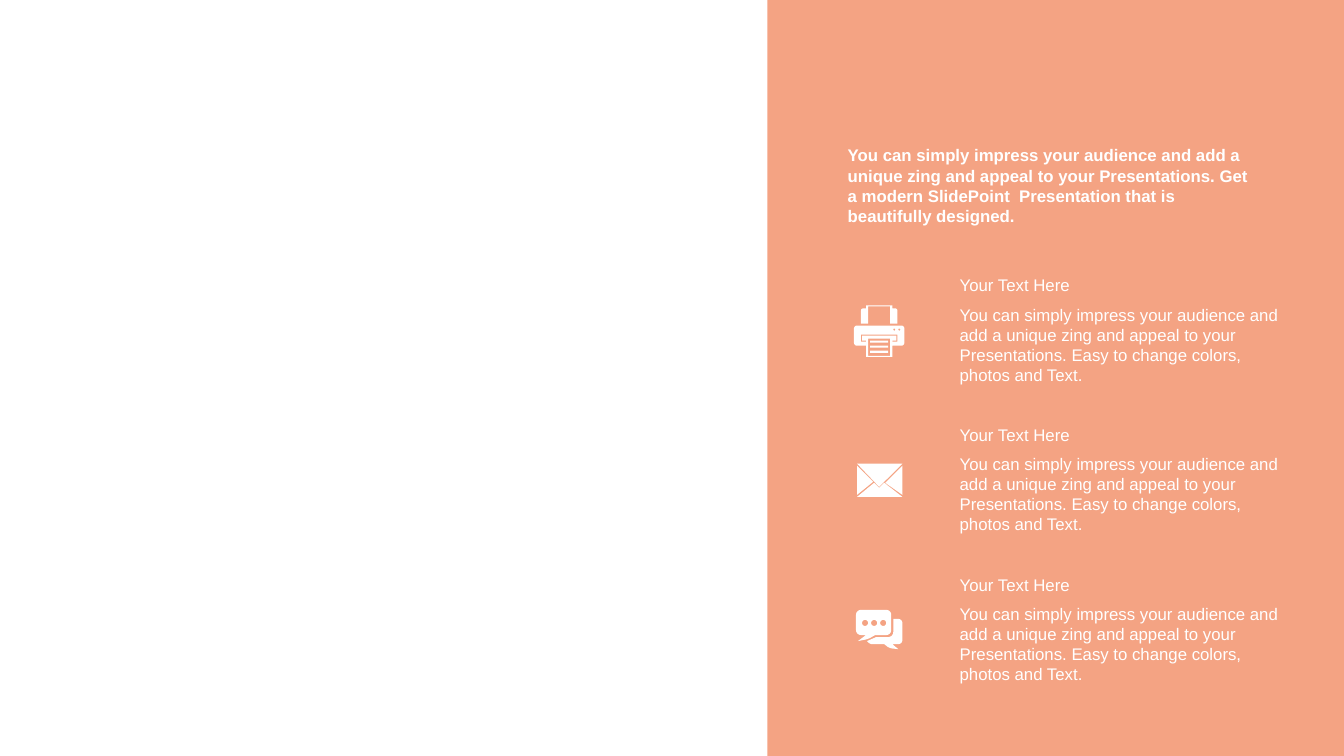
from dataclasses import dataclass
from math import hypot
from typing import NamedTuple

from lxml import etree
from pptx import Presentation
from pptx import util as u
from pptx.dml.color import RGBColor
from pptx.enum import shapes, text
from pptx.oxml import ns

CORAL = RGBColor(0xF0, 0x7C, 0x4F)
WHITE = RGBColor(0xFF, 0xFF, 0xFF)
PANEL_OPACITY = 70
CURVE_STEPS = 8
ARC_FACTOR = 0.55

INTRO = (
    "You can simply impress your audience and add a unique zing and appeal to your "
    "Presentations. Get a modern SlidePoint  Presentation that is beautifully designed."
)
HEADING = "Your Text Here"
BODY = (
    "You can simply impress your audience and add a unique zing and appeal to your "
    "Presentations. Easy to change colors, photos and Text."
)


class Point(NamedTuple):
    x: float
    y: float


class Corner(NamedTuple):
    x: float
    y: float
    radius: float = 0


Contour = list[Point]


@dataclass
class Section:
    top: float
    heading: str
    body: str
    icon: list[Contour]


def toward(start: Corner, end: Corner, distance: float) -> Point:
    share = distance / hypot(end.x - start.x, end.y - start.y)
    return Point(start.x + (end.x - start.x) * share, start.y + (end.y - start.y) * share)


def outline(*points: tuple[float, ...]) -> Contour:
    corners = [Corner(*point) for point in points]
    contour = []
    for index, corner in enumerate(corners):
        if not corner.radius:
            contour.append(Point(corner.x, corner.y))
            continue
        following = corners[(index + 1) % len(corners)]
        reach = corner.radius * (1 - ARC_FACTOR)
        controls = [
            toward(corner, corners[index - 1], corner.radius),
            toward(corner, corners[index - 1], reach),
            toward(corner, following, reach),
            toward(corner, following, corner.radius),
        ]
        for step in range(CURVE_STEPS + 1):
            t = step / CURVE_STEPS
            weights = ((1 - t) ** 3, 3 * t * (1 - t) ** 2, 3 * t**2 * (1 - t), t**3)
            contour.append(Point(
                sum(weight * control.x for weight, control in zip(weights, controls)),
                sum(weight * control.y for weight, control in zip(weights, controls)),
            ))
    return contour


def box(left: float, top: float, right: float, bottom: float, radius: float = 0) -> Contour:
    return outline(
        (left, top, radius), (right, top, radius),
        (right, bottom, radius), (left, bottom, radius),
    )


def dot(x: float, y: float, radius: float) -> Contour:
    return box(x - radius, y - radius, x + radius, y + radius, radius)


PRINTER = [
    outline(
        (8.59, 3.03), (8.85, 3.03), (8.85, 3.06), (8.9, 3.06, 0.02), (8.9, 3.21),
        (8.83, 3.21), (8.83, 3.04), (8.61, 3.04), (8.61, 3.21), (8.54, 3.21),
        (8.54, 3.06, 0.02), (8.59, 3.06),
    ),
    outline(
        (8.47, 3.23, 0.03), (8.97, 3.23, 0.03), (8.97, 3.43, 0.03), (8.85, 3.43),
        (8.85, 3.54), (8.59, 3.54), (8.59, 3.43), (8.47, 3.43, 0.03),
    ),
    outline(
        (8.54, 3.32), (8.9, 3.32), (8.9, 3.39), (8.85, 3.39), (8.85, 3.38), (8.89, 3.38),
        (8.89, 3.33), (8.55, 3.33), (8.55, 3.38), (8.59, 3.38), (8.59, 3.39), (8.54, 3.39),
    ),
    box(8.61, 3.36, 8.83, 3.53),
    *[box(8.63, top, 8.81, top + 0.02) for top in (3.38, 3.43, 3.48)],
    *[dot(x, 3.27, 0.01) for x in (8.87, 8.92)],
]
ENVELOPE = [
    outline((8.5, 4.6), (8.95, 4.6), (8.72, 4.83)),
    outline((8.5, 4.62), (8.66, 4.78), (8.5, 4.91)),
    outline((8.95, 4.62), (8.95, 4.91), (8.78, 4.79)),
    outline((8.77, 4.79), (8.95, 4.93), (8.5, 4.93), (8.67, 4.79), (8.72, 4.84)),
]
CHAT = [
    outline(
        (8.86, 6.14), (8.95, 6.14, 0.04), (8.95, 6.39, 0.04), (8.85, 6.39), (8.91, 6.44),
        (8.82, 6.43, 0.03), (8.77, 6.39), (8.63, 6.39, 0.02), (8.6, 6.36), (8.69, 6.32),
        (8.86, 6.32, 0.05),
    ),
    outline(
        (8.49, 6.05, 0.05), (8.84, 6.05, 0.05), (8.84, 6.3, 0.05), (8.68, 6.3),
        (8.61, 6.34, 0.03), (8.51, 6.36), (8.59, 6.3), (8.49, 6.3, 0.05),
    ),
    *[dot(8.58 + 0.09 * index, 6.18, 0.03) for index in range(3)],
]
SECTIONS = [
    Section(2.68, HEADING, BODY, PRINTER),
    Section(4.16, HEADING, BODY, ENVELOPE),
    Section(5.65, HEADING, BODY, CHAT),
]


def paint(shape, color: RGBColor) -> None:
    shape.shadow.inherit = False
    shape.fill.solid()
    shape.fill.fore_color.rgb = color
    shape.line.fill.background()


def add_panel(slide) -> None:
    panel = slide.shapes.add_shape(
        shapes.MSO_SHAPE.RECTANGLE, u.Inches(7.61), 0, u.Inches(5.72), u.Inches(7.5)
    )
    paint(panel, CORAL)
    color = panel.fill._xPr.find(".//" + ns.qn("a:srgbClr"))
    etree.SubElement(color, ns.qn("a:alpha"), val=str(PANEL_OPACITY * 1000))


def add_text(parent, content: str, *, left: float, top: float, width: float, height: float,
             bold: bool = False, anchor=text.MSO_ANCHOR.TOP) -> None:
    shape = parent.shapes.add_textbox(
        u.Inches(left), u.Inches(top), u.Inches(width), u.Inches(height)
    )
    frame = shape.text_frame
    frame.word_wrap = True
    frame.auto_size = text.MSO_AUTO_SIZE.SHAPE_TO_FIT_TEXT
    frame.vertical_anchor = anchor
    run = frame.paragraphs[0].add_run()
    run.text = content
    run.font.name = "Arial"
    run.font.size = u.Pt(12)
    run.font.bold = bold
    run.font.color.rgb = WHITE


def add_icon(slide, contours: list[Contour]) -> None:
    paths = [[(u.Inches(x), u.Inches(y)) for x, y in contour] for contour in contours]
    builder = slide.shapes.build_freeform(*paths[0][0])
    for index, points in enumerate(paths):
        if index:
            builder.move_to(*points[0])
        builder.add_line_segments(points[1:], close=True)
    paint(builder.convert_to_shape(), WHITE)


def add_section(slide, section: Section) -> None:
    group = slide.shapes.add_group_shape()
    add_text(group, section.body, left=9.42, top=section.top + 0.29, width=3.36, height=0.91)
    add_text(group, section.heading, left=9.42, top=section.top, width=3.36, height=0.3,
             anchor=text.MSO_ANCHOR.MIDDLE)
    add_icon(slide, section.icon)


def main() -> None:
    presentation = Presentation()
    presentation.slide_width = u.Inches(13.33)
    presentation.slide_height = u.Inches(7.5)
    slide = presentation.slides.add_slide(presentation.slide_layouts[6])
    add_panel(slide)
    add_text(slide, INTRO, left=8.31, top=1.39, width=4.27, height=0.91, bold=True)
    for section in SECTIONS:
        add_section(slide, section)
    presentation.save("out.pptx")


if __name__ == "__main__":
    main()
